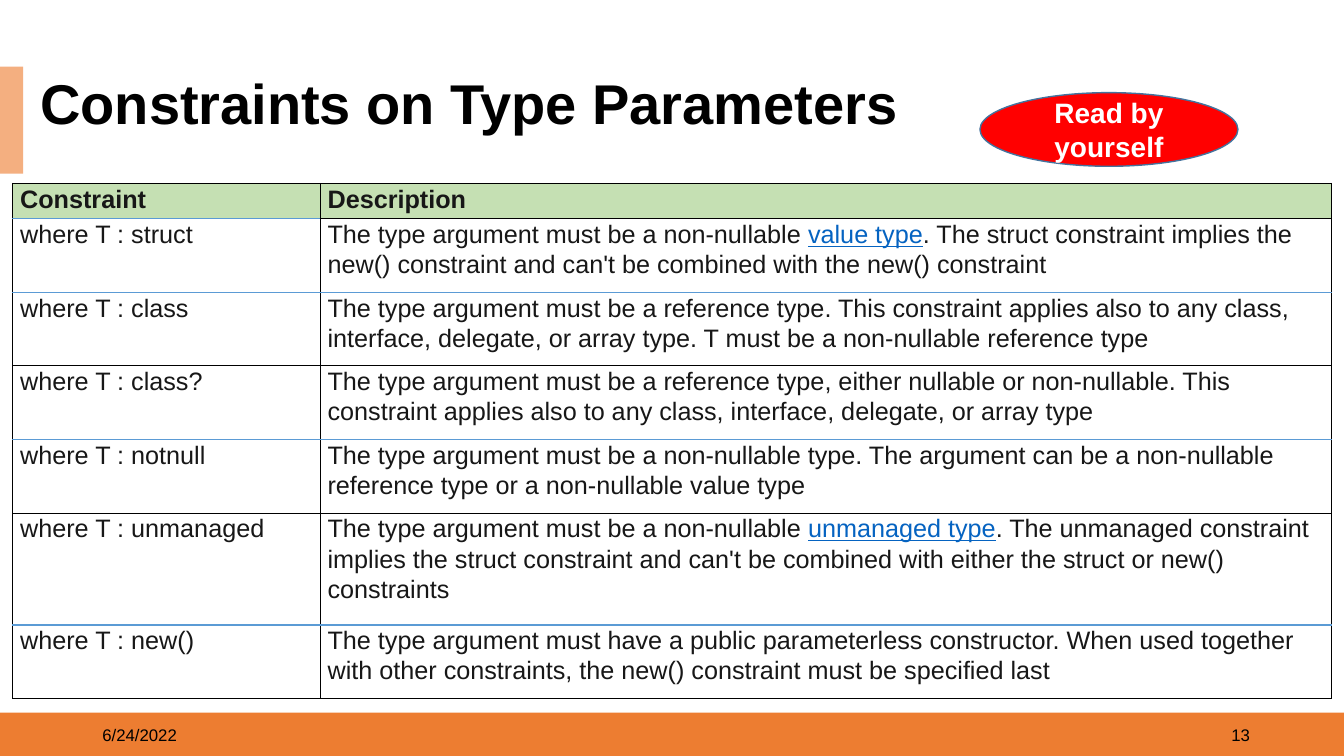
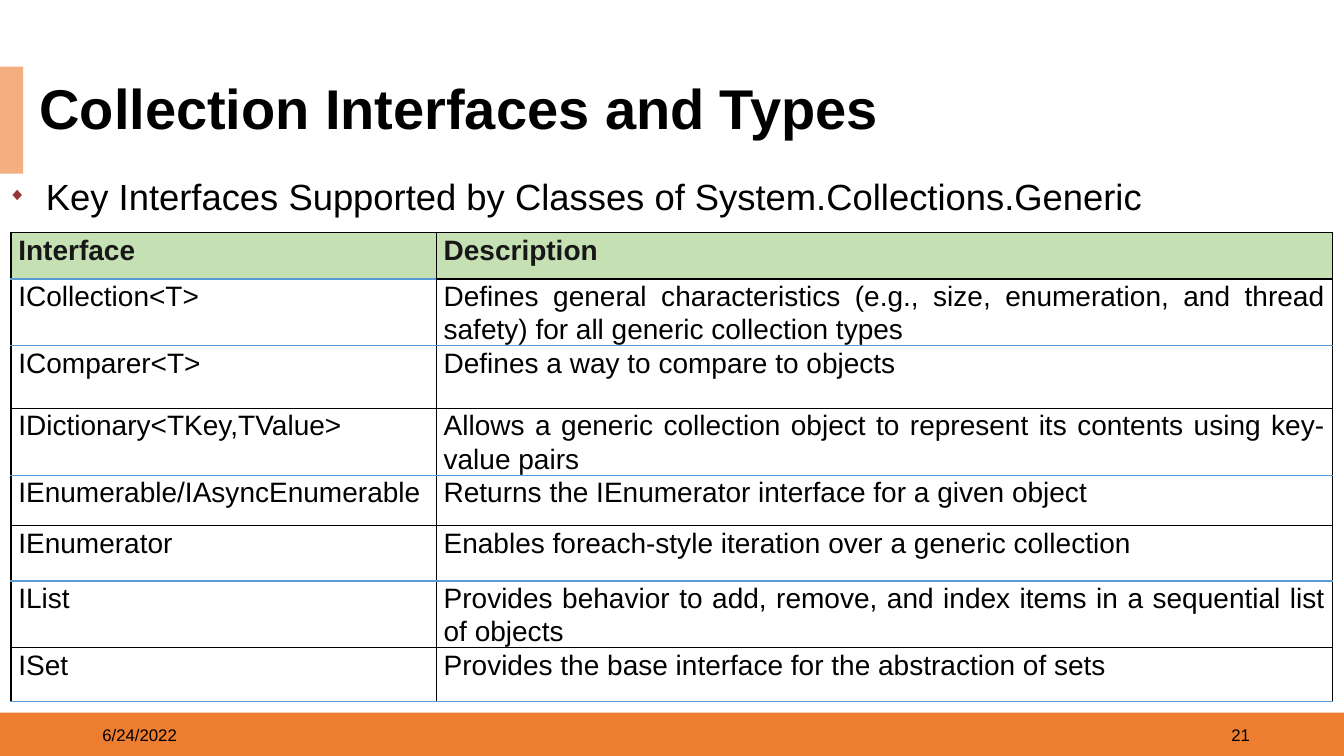
from lxml import etree
from pptx import Presentation
from pptx.dml.color import RGBColor
from pptx.enum import shapes, text
from pptx.oxml import ns
from pptx.util import Pt

FONT = "Arial"
COLORS = {
    "band": "ED7D31", "accent": "F4AF80", "header": "C5E0B3", "white": "FFFFFF",
    "black": "000000", "ink": "171717", "link": "0563C1", "rule": "5B9BD5",
    "bullet": "973735", "badge": "FF0000", "badge_line": "43739E",
}
DATE = "6/24/2022"
ALIGN = text.PP_ALIGN

# Bars mark the words of a description that look like a link.
SLIDES = [
    {
        "title": "Constraints on Type Parameters", "number": "13", "layout": 5,
        "title_box": (21.6, 57.6, 662.4, 39.6),
        "table_at": (9.2, 131), "columns": (219.6, 722.2),
        "row_heights": (25.2, 52.6, 52.6, 52.6, 52.6, 79.9, 52.6),
        "size": 18, "ink": "ink", "align": ALIGN.LEFT,
        "rows": [
            ("Constraint", "Description"),
            ("where T : struct",
             "The type argument must be a non-nullable |value type|. The struct constraint "
             "implies the new() constraint and can't be combined with the new() constraint"),
            ("where T : class",
             "The type argument must be a reference type. This constraint applies also to any "
             "class, interface, delegate, or array type. T must be a non-nullable reference type"),
            ("where T : class?",
             "The type argument must be a reference type, either nullable or non-nullable. This "
             "constraint applies also to any class, interface, delegate, or array type"),
            ("where T : notnull",
             "The type argument must be a non-nullable type. The argument can be a non-nullable "
             "reference type or a non-nullable value type"),
            ("where T : unmanaged",
             "The type argument must be a non-nullable |unmanaged type|. The unmanaged constraint "
             "implies the struct constraint and can't be combined with either "
             "the struct or new() constraints"),
            ("where T : new()",
             "The type argument must have a public parameterless constructor. When used together "
             "with other constraints, the new() constraint must be specified last"),
        ],
    },
    {
        "title": "Collection Interfaces and Types", "number": "21", "layout": 1,
        "title_box": (21, 61.2, 878.4, 39.6),
        "table_at": (7.9, 166.3), "columns": (303.8, 640.1),
        "row_heights": (33, 33, 44.6, 39.6, 36, 39.6, 31, 38.2),
        "size": 20, "ink": "black", "align": ALIGN.JUSTIFY,
        "rows": [
            ("Interface", "Description"),
            ("ICollection<T>",
             "Defines general characteristics (e.g., size, enumeration, and thread safety) "
             "for all generic collection types"),
            ("IComparer<T>", "Defines a way to compare to objects"),
            ("IDictionary<TKey,TValue>",
             "Allows a generic collection object to represent its contents using key-value pairs"),
            ("IEnumerable/IAsyncEnumerable",
             "Returns the IEnumerator interface for a given object"),
            ("IEnumerator", "Enables foreach-style iteration over a generic collection"),
            ("IList",
             "Provides behavior to add, remove, and index items in a sequential list of objects"),
            ("ISet", "Provides the base interface for the abstraction of sets"),
        ],
    },
]


def rgb(name):
    return RGBColor.from_string(COLORS[name])


def write(shape, words, box, size, color="black", bold=False, align=ALIGN.LEFT):
    """Place a shape and give it one formatted, vertically centred paragraph."""
    shape.left, shape.top, shape.width, shape.height = map(Pt, box)
    frame = shape.text_frame
    frame.text = words
    frame.word_wrap = True
    frame.auto_size = text.MSO_AUTO_SIZE.NONE
    frame.vertical_anchor = text.MSO_ANCHOR.MIDDLE
    paragraph = frame.paragraphs[0]
    paragraph.alignment = align
    font = paragraph.runs[0].font
    font.name, font.size, font.bold = FONT, Pt(size), bold
    font.color.rgb = rgb(color)
    return paragraph


presentation = Presentation()
presentation.slide_width, presentation.slide_height = Pt(960), Pt(540)
slides = [presentation.slides.add_slide(presentation.slide_layouts[content["layout"]])
          for content in SLIDES]

# The bands are drawn once and moved to the slide master.
bands = [("band", (0, 509, 960, 31)), ("accent", (0, 47.5, 16.5, 76.5))]
for shape_id, (color, box) in enumerate(bands, 101):
    band = slides[0].shapes.add_shape(shapes.MSO_SHAPE.RECTANGLE, *map(Pt, box))
    band.shadow.inherit = False
    band.fill.solid()
    band.fill.fore_color.rgb = rgb(color)
    band.line.fill.background()
    band.element.nvSpPr.cNvPr.set("id", str(shape_id))
    presentation.slide_master.shapes.element.insert(2, band.element)

for slide, content in zip(slides, SLIDES):
    title = write(slide.shapes.title, content["title"], content["title_box"], 40, bold=True)
    title.line_spacing = 0.8
    for words, left, align in ((DATE, 66, ALIGN.LEFT), (content["number"], 684, ALIGN.RIGHT)):
        box = (left, 510.5, 216, 28.8)
        write(slide.shapes.add_textbox(*map(Pt, box)), words, box, 12, align=align)

    rows = content["rows"]
    table = slide.shapes.add_table(
        len(rows), 2, *map(Pt, content["table_at"]),
        Pt(sum(content["columns"])), Pt(sum(content["row_heights"]))).table
    table.first_row = table.horz_banding = False
    for column, width in zip(table.columns, content["columns"]):
        column.width = Pt(width)
    for row, height in zip(table.rows, content["row_heights"]):
        row.height = Pt(height)

    for row_index, row in enumerate(rows):
        for column_index, words in enumerate(row):
            is_header = row_index == 0
            cell = table.cell(row_index, column_index)
            cell.margin_left = cell.margin_right = Pt(5.2)
            cell.margin_top = cell.margin_bottom = 0
            paragraph = cell.text_frame.paragraphs[0]
            paragraph.line_spacing = 1.07
            if column_index == 1 and not is_header:
                paragraph.alignment = content["align"]
            for part_index, part in enumerate(words.split("|")):
                is_link = part_index % 2 == 1
                run = paragraph.add_run()
                run.text = part
                font = run.font
                font.name, font.size, font.bold = FONT, Pt(content["size"]), is_header
                font.underline = is_link
                font.color.rgb = rgb("link" if is_link else "ink" if is_header else content["ink"])

            # Blue and black rules alternate; the first header cell is also ruled in blue.
            below, above = ("rule" if index % 2 == 1 or (index == 0 and column_index == 0)
                            else "black" for index in (row_index, row_index - 1))
            if is_header:
                above = "black"
            properties = cell._tc.get_or_add_tcPr()
            edges = (("lnL", "black"), ("lnR", "black"), ("lnT", above), ("lnB", below))
            for position, (edge, color) in enumerate(edges):
                line = etree.Element(ns.qn("a:" + edge), w=str(Pt(1)))
                fill = etree.SubElement(line, ns.qn("a:solidFill"))
                etree.SubElement(fill, ns.qn("a:srgbClr"), val=COLORS[color])
                properties.insert(position, line)
            cell.fill.solid()
            cell.fill.fore_color.rgb = rgb("header" if is_header else "white")

constraints_slide, collections_slide = slides

badge_box = (700, 66.2, 184.3, 52.6)
badge = constraints_slide.shapes.add_shape(shapes.MSO_SHAPE.OVAL, *map(Pt, badge_box))
badge.shadow.inherit = False
badge.fill.solid()
badge.fill.fore_color.rgb = rgb("badge")
badge.line.color.rgb = rgb("badge_line")
badge.line.width = Pt(1)
write(badge, "Read by yourself", badge_box, 20, "white", True, ALIGN.CENTER)

key_point = write(collections_slide.placeholders[1],
                  "Key Interfaces Supported by Classes of System.Collections.Generic",
                  (-1.4, 127.4, 870.5, 24.5), 26, align=ALIGN.JUSTIFY)
key_point.space_before = Pt(0)
properties = key_point._p.get_or_add_pPr()
properties.set("marL", str(Pt(27)))
properties.set("indent", str(Pt(-27)))
bullet_color = etree.SubElement(properties, ns.qn("a:buClr"))
etree.SubElement(bullet_color, ns.qn("a:srgbClr"), val=COLORS["bullet"])
etree.SubElement(properties, ns.qn("a:buSzPct"), val="50000")
etree.SubElement(properties, ns.qn("a:buFont"), typeface=FONT)
etree.SubElement(properties, ns.qn("a:buChar"), char="◆")

presentation.save("out.pptx")
